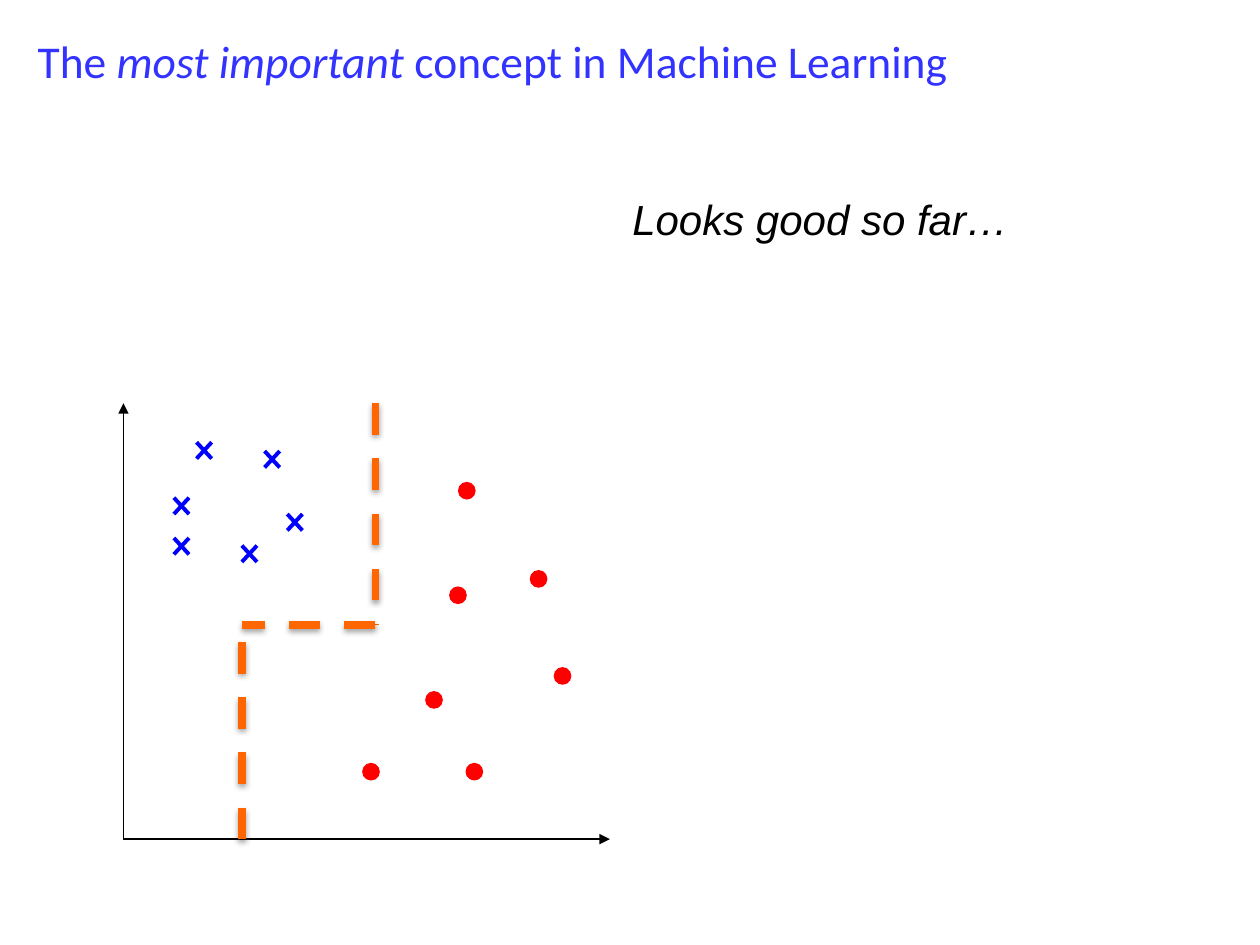
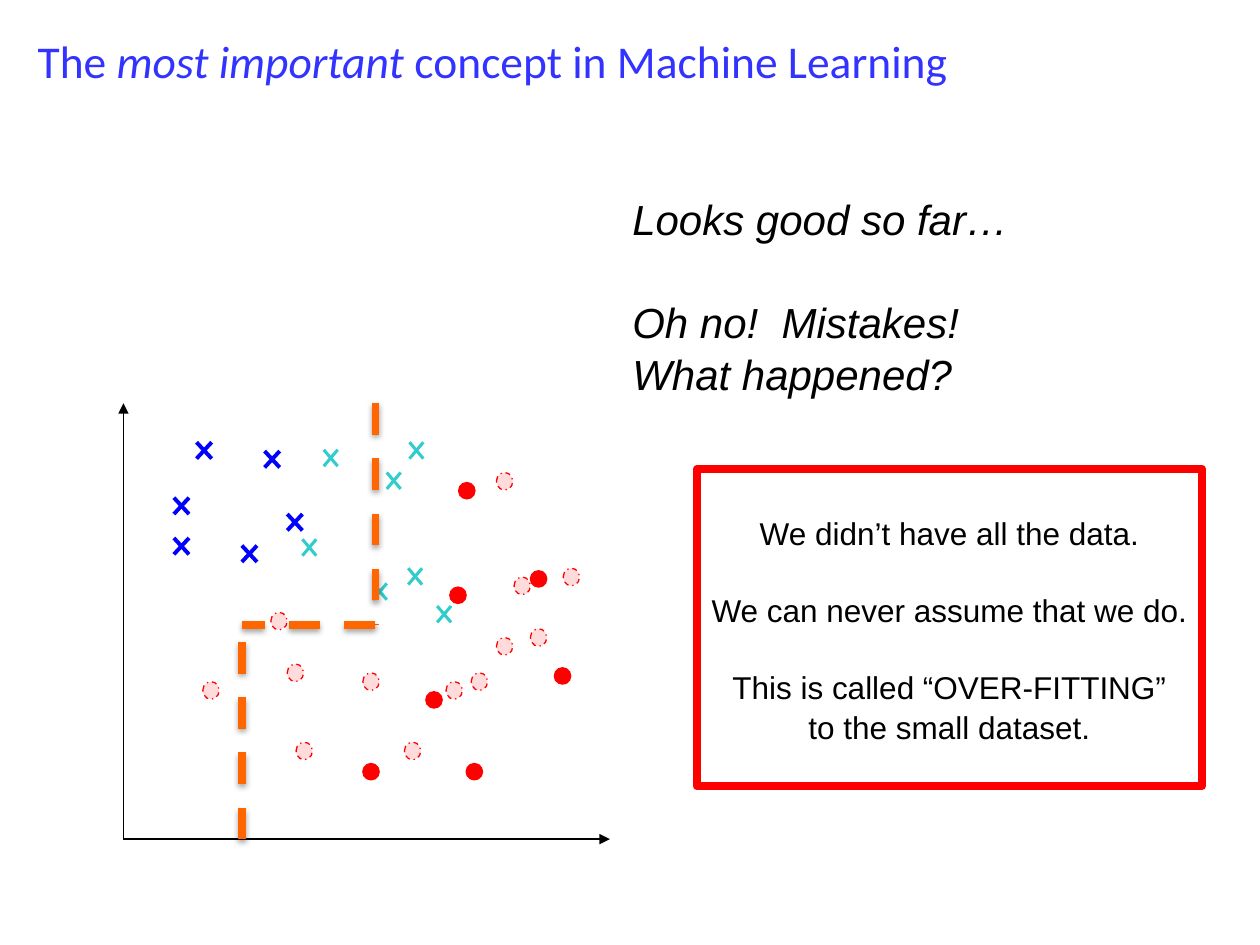
from lxml.etree import SubElement
from pptx import Presentation
from pptx.dml.color import RGBColor
from pptx.enum.dml import MSO_LINE
from pptx.enum.shapes import MSO_CONNECTOR, MSO_SHAPE
from pptx.enum.text import MSO_ANCHOR, PP_ALIGN
from pptx.oxml.ns import qn
from pptx.util import Inches, Pt

BLACK = RGBColor(0, 0, 0)
TITLE_BLUE = RGBColor(0x33, 0x33, 0xFF)
BLUE = RGBColor(0, 0, 0xFF)
RED = RGBColor(0xFF, 0, 0)
TEAL = RGBColor(0x33, 0xCC, 0xCC)
ORANGE = RGBColor(0xFF, 0x66, 0)

AXIS_LEFT, AXIS_TOP, AXIS_RIGHT, AXIS_BOTTOM = 0.98, 3.2, 4.84, 6.66
BOUNDARY = [(2.98, AXIS_TOP), (2.98, 4.96), (1.92, 4.96), (1.92, AXIS_BOTTOM)]

SEEN_CROSSES = [(1.56, 3.51), (2.1, 3.58), (1.38, 3.95), (1.38, 4.27), (1.92, 4.33), (2.28, 4.08)]
SEEN_DOTS = [(3.57, 4.66), (4.21, 4.53), (3.38, 5.49), (3.7, 6.06), (4.4, 5.3), (2.88, 6.06), (3.64, 3.83)]
NEW_CROSSES = [(2.57, 3.57), (2.4, 4.28), (3.24, 4.51), (2.96, 4.63), (3.47, 4.81), (3.25, 3.51), (3.07, 3.75)]
NEW_DOTS = [
    (4.08, 4.58), (4.47, 4.51), (3.94, 3.75), (3.54, 5.41), (4.21, 4.99), (3.21, 5.89), (3.74, 5.34),
    (3.94, 5.06), (2.35, 5.89), (2.88, 5.34), (1.61, 5.41), (2.28, 5.27), (2.15, 4.86),
]

TITLE = [("The ", False), ("most important", True), (" concept in Machine Learning", False)]
FIRST_REMARK = ["Looks good so far…"]
ALL_REMARKS = FIRST_REMARK + ["Oh no!  Mistakes!", "What happened?"]
LESSON = [
    "We didn’t have all the data.",
    "We can never assume that we do.",
    "This is called “OVER-FITTING”",
    "to the small dataset.",
]

TITLE_FONT = {"name": "Calibri", "size": Pt(26)}
REMARK_FONT = {"name": "Arial", "size": Pt(24), "italic": True}
LESSON_FONT = {"name": "Arial", "size": Pt(18)}


def set_format(target, values):
    for name, value in values.items():
        setattr(target, name, value)


class Deck:
    def __init__(self):
        self.presentation = Presentation()
        self.presentation.slide_width = Inches(10)
        self.presentation.slide_height = Inches(7.5)
        self.slide = None

    def add_slide(self):
        self.slide = self.presentation.slides.add_slide(self.presentation.slide_layouts[6])
        self.title()

    def group(self):
        return self.slide.shapes.add_group_shape().shapes

    def text_box(self, left, top, width, height):
        return self.slide.shapes.add_textbox(Inches(left), Inches(top), Inches(width), Inches(height))

    def title(self):
        frame = self.text_box(0.2, 0.21, 9.25, 0.54).text_frame
        frame.word_wrap = True
        for text, italic in TITLE:
            run = frame.paragraphs[0].add_run()
            run.text = text
            set_format(run.font, {**TITLE_FONT, "italic": italic})
            run.font.color.rgb = TITLE_BLUE

    def fill_text(self, shape, lines, font, gaps=(), alignment=PP_ALIGN.LEFT):
        frame = shape.text_frame
        frame.word_wrap = False
        for index, text in enumerate(lines):
            paragraph = frame.add_paragraph() if index else frame.paragraphs[0]
            run = paragraph.add_run()
            run.text = text
            set_format(run.font, font)
            run.font.color.rgb = BLACK
            set_format(paragraph, {"alignment": alignment, "line_spacing": 1.04})
            if index in gaps:
                paragraph.space_before = int(font["size"] * 1.2)

    def remarks(self, lines, height):
        self.fill_text(self.text_box(4.92, 1.47, 3.3, height), lines, REMARK_FONT, gaps=(1,))

    def lesson(self):
        box = self.slide.shapes.add_shape(
            MSO_SHAPE.RECTANGLE, Inches(5.53), Inches(3.72), Inches(4.01), Inches(2.52))
        box.shadow.inherit = False
        box.fill.background()
        box.line.width = Pt(4.5)
        box.line.color.rgb = RED
        set_format(box.text_frame, {"vertical_anchor": MSO_ANCHOR.TOP, "margin_top": Inches(0.35)})
        self.fill_text(box, LESSON, LESSON_FONT, gaps=(1, 2), alignment=PP_ALIGN.CENTER)

    def line(self, shapes, start, end, color, width, dash=None, arrow=False, shadow=False):
        points = [Inches(value) for value in (*start, *end)]
        connector = shapes.add_connector(MSO_CONNECTOR.STRAIGHT, *points)
        connector.line.color.rgb = color
        set_format(connector.line, {"width": Pt(width), "dash_style": dash})
        properties = connector._element.spPr
        if arrow:
            SubElement(properties.find(qn("a:ln")), qn("a:tailEnd"), type="triangle")
        effects = SubElement(properties, qn("a:effectLst"))
        if shadow:
            outer = SubElement(effects, qn("a:outerShdw"), blurRad="40000", dist="23000",
                               dir="5400000", rotWithShape="0")
            black = SubElement(outer, qn("a:srgbClr"), val=str(BLACK))
            SubElement(black, qn("a:alpha"), val="35000")

    def axes(self):
        origin = (AXIS_LEFT, AXIS_BOTTOM)
        for end in ((AXIS_LEFT, AXIS_TOP), (AXIS_RIGHT, AXIS_BOTTOM)):
            self.line(self.slide.shapes, origin, end, BLACK, 0.75, arrow=True)

    def boundary(self):
        shapes = self.group()
        top, corner, turn, bottom = BOUNDARY
        for start, end in ((top, corner), (corner, turn), (bottom, turn)):
            self.line(shapes, start, end, ORANGE, 4.5, dash=MSO_LINE.DASH, shadow=True)

    def crosses(self, places, color, width, size):
        shapes = self.group()
        for left, top in places:
            right, bottom = left + size, top + 0.13
            self.line(shapes, (right, top), (left, bottom), color, width)
            self.line(shapes, (right, bottom), (left, top), color, width)

    def dots(self, places, height, line_format, opacity=None):
        shapes = self.group()
        for left, top in places:
            dot = shapes.add_shape(
                MSO_SHAPE.OVAL, Inches(left), Inches(top), Inches(0.13), Inches(height))
            dot.shadow.inherit = False
            dot.fill.solid()
            dot.fill.fore_color.rgb = RED
            dot.line.color.rgb = RED
            set_format(dot.line, line_format)
            if opacity:
                fill_color = dot._element.spPr.find(qn("a:solidFill")).find(qn("a:srgbClr"))
                SubElement(fill_color, qn("a:alpha"), val=str(opacity * 1000))

    def seen_data(self):
        self.crosses(SEEN_CROSSES, BLUE, 2.25, 0.12)
        self.dots(SEEN_DOTS, 0.13, {"width": Pt(0.75)})

    def new_data(self):
        self.dots(NEW_DOTS, 0.14, {"width": Pt(0), "dash_style": MSO_LINE.DASH_DOT}, opacity=14)
        self.crosses(NEW_CROSSES, TEAL, 1.75, 0.11)


def main():
    deck = Deck()

    deck.add_slide()
    deck.remarks(FIRST_REMARK, 0.91)
    deck.axes()
    deck.seen_data()
    deck.boundary()

    deck.add_slide()
    deck.remarks(ALL_REMARKS, 2.52)
    deck.lesson()
    deck.axes()
    deck.new_data()
    deck.seen_data()
    deck.boundary()

    deck.presentation.save("out.pptx")


if __name__ == "__main__":
    main()
